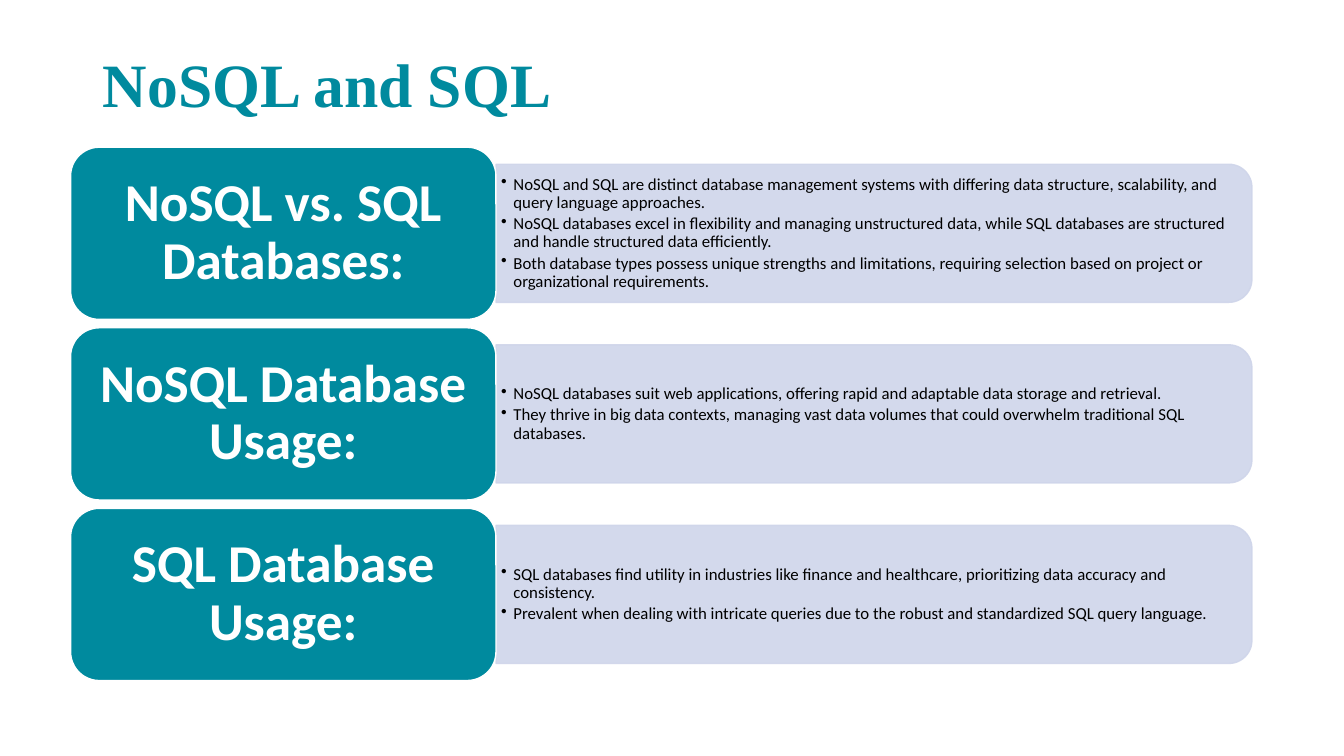
from lxml import etree
from pptx import Presentation
from pptx.dml.color import RGBColor
from pptx.enum import shapes, text
from pptx.oxml.ns import qn
from pptx.util import Cm, Pt

# Content
TITLE = "NoSQL and SQL"
ROWS = [
    ("NoSQL vs. SQL Databases:", [
        "NoSQL and SQL are distinct database management systems with differing "
        "data structure, scalability, and query language approaches.",
        "NoSQL databases excel in flexibility and managing unstructured data, "
        "while SQL databases are structured and handle structured data efficiently.",
        "Both database types possess unique strengths and limitations, requiring "
        "selection based on project or organizational requirements.",
    ]),
    ("NoSQL Database Usage:", [
        "NoSQL databases suit web applications, offering rapid and adaptable "
        "data storage and retrieval.",
        "They thrive in big data contexts, managing vast data volumes that "
        "could overwhelm traditional SQL databases.",
    ]),
    ("SQL Database Usage:", [
        "SQL databases find utility in industries like finance and healthcare, "
        "prioritizing data accuracy and consistency.",
        "Prevalent when dealing with intricate queries due to the robust and "
        "standardized SQL query language.",
    ]),
]

TEAL = RGBColor(0x00, 0x8A, 0x9E)
LAVENDER = RGBColor(0xCF, 0xD5, 0xEA)
WHITE = RGBColor(0xFF, 0xFF, 0xFF)
BLACK = RGBColor(0x00, 0x00, 0x00)

# Layout
LEFT, TOP, PITCH = Cm(1.78), Cm(3.71), Cm(4.55)
LABEL_W, LABEL_H = Cm(10.72), Cm(4.34)
PANEL_W, PANEL_H = Cm(19.05), Cm(3.48)
LIST_W, LIST_H = Cm(18.87), Cm(3.12)
HANGING = Cm(0.31)


def style_frame(tf, inset_x, inset_y):
    tf.word_wrap = True
    tf.auto_size = text.MSO_AUTO_SIZE.NONE
    tf.vertical_anchor = text.MSO_ANCHOR.MIDDLE
    tf.margin_left = tf.margin_right = inset_x
    tf.margin_top = tf.margin_bottom = inset_y


def style_paragraph(p, font, size, color, bold=False, align=text.PP_ALIGN.LEFT):
    p.alignment = align
    p.line_spacing = 0.9
    for r in p.runs:
        r.font.name, r.font.size, r.font.bold = font, Pt(size), bold
        r.font.color.rgb = color


def add_box(slide, kind, left, top, width, height, fill, line):
    sp = slide.shapes.add_shape(kind, left, top, width, height)
    sp.shadow.inherit = False
    sp.fill.solid()
    sp.fill.fore_color.rgb = fill
    sp.line.color.rgb = line
    sp.line.width = Pt(1)
    return sp


def add_panel(slide, middle):
    # Drawn upright, then turned so that the rounded corners face right
    sp = add_box(slide, shapes.MSO_SHAPE.ROUND_2_SAME_RECTANGLE,
                 LEFT + LABEL_W + (PANEL_W - PANEL_H) // 2, middle - PANEL_W // 2,
                 PANEL_H, PANEL_W, LAVENDER, LAVENDER)
    sp.rotation = 90
    for color in sp._element.spPr.iter(qn("a:srgbClr")):
        etree.SubElement(color, qn("a:alpha"), val="90000")


def add_list(slide, middle, items):
    tf = slide.shapes.add_textbox(LEFT + LABEL_W, middle - LIST_H // 2,
                                  LIST_W, LIST_H).text_frame
    style_frame(tf, Cm(0.13), Cm(0.08))
    tf.text = "\n".join(items)
    for p in tf.paragraphs:
        style_paragraph(p, "Calibri", 12, BLACK)
        p.space_after = Pt(2.2)
        pPr = p._p.get_or_add_pPr()
        pPr.set("marL", str(HANGING))
        pPr.set("indent", str(-HANGING))
        etree.SubElement(pPr, qn("a:buChar"), char="•")


def add_label(slide, top, label):
    sp = add_box(slide, shapes.MSO_SHAPE.ROUNDED_RECTANGLE,
                 LEFT, top, LABEL_W, LABEL_H, TEAL, WHITE)
    tf = sp.text_frame
    # The rounded corners add 0.21 cm to these insets
    style_frame(tf, Cm(0.41), Cm(0.21))
    tf.text = label
    style_paragraph(tf.paragraphs[0], "Calibri", 38, WHITE, True, text.PP_ALIGN.CENTER)


def main():
    prs = Presentation()
    prs.slide_width, prs.slide_height = Cm(33.87), Cm(19.05)
    slide = prs.slides.add_slide(prs.slide_layouts[5])

    # Title
    title = slide.shapes.title
    title.left, title.top, title.width, title.height = Cm(2.34), Cm(1.02), Cm(21.74), Cm(2.39)
    style_frame(title.text_frame, Cm(0.25), Cm(0.13))
    title.text_frame.text = TITLE
    style_paragraph(title.text_frame.paragraphs[0], "Times New Roman", 44, TEAL, True)

    # One row per topic: panel, bullet list, label
    for i, (label, items) in enumerate(ROWS):
        top = TOP + i * PITCH
        middle = top + LABEL_H // 2
        add_panel(slide, middle)
        add_list(slide, middle, items)
        add_label(slide, top, label)

    prs.save("out.pptx")


if __name__ == "__main__":
    main()
